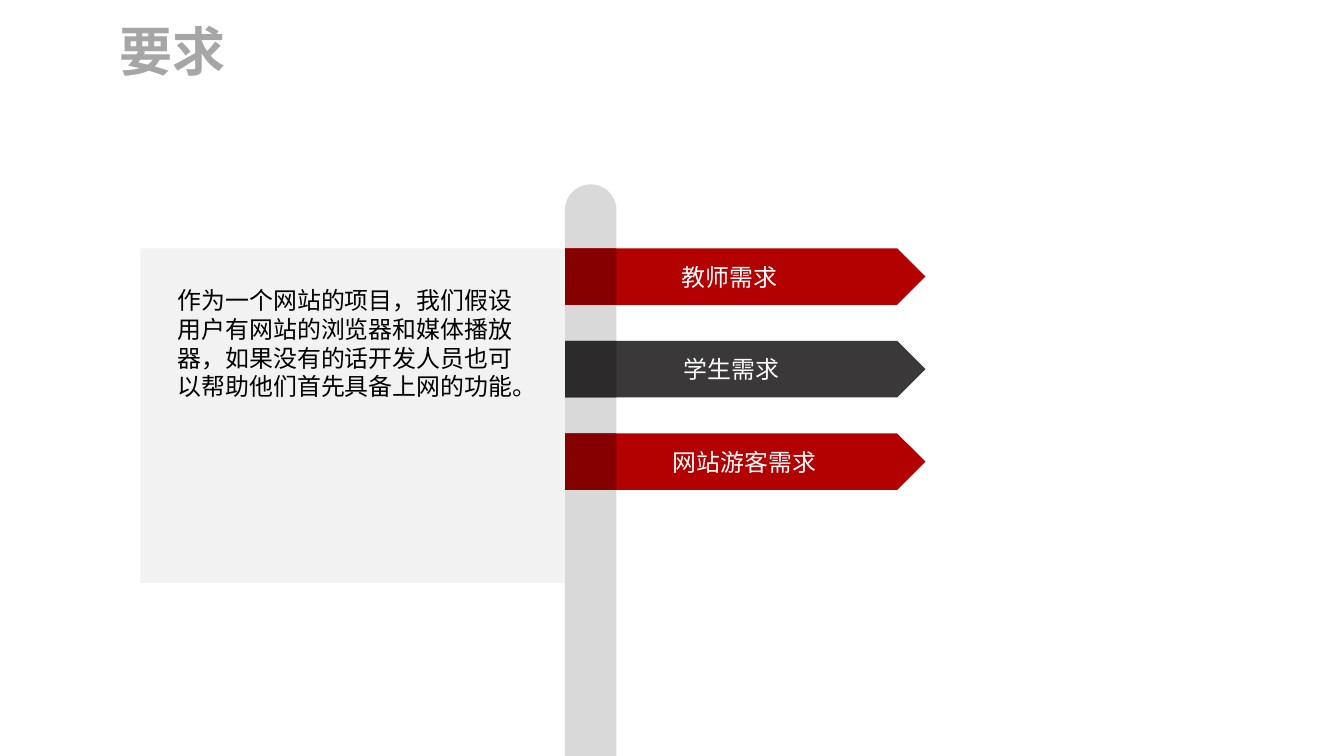
from pptx import Presentation
from pptx.dml.color import RGBColor
from pptx.enum.shapes import MSO_SHAPE
from pptx.enum.text import MSO_ANCHOR, PP_ALIGN
from pptx.util import Cm, Pt

COLORS = {
    "title": "A6A6A6", "text": "000000", "white": "FFFFFF",
    "pole": "D9D9D9", "panel": "F2F2F2",
    "red": "B30000", "dark_red": "860000",
    "gray": "3A3838", "dark_gray": "2C2A2A",
}
SIGNS = [
    ("教师需求", "red", 3.1),
    ("学生需求", "gray", 3.15),
    ("网站游客需求", "red", 2.87),
]
INTRO = ("作为一个网站的项目，我们假设用户有网站的浏览器和媒体播放器，"
         "如果没有的话开发人员也可以帮助他们首先具备上网的功能。")
SIGN_HEIGHT = 1.5
SIGN_PITCH = 2.46


def add_block(s, kind, x, y, w, h, color):
    sp = s.shapes.add_shape(kind, Cm(x), Cm(y), Cm(w), Cm(h))
    sp.shadow.inherit = False
    sp.fill.solid()
    sp.fill.fore_color.rgb = RGBColor.from_string(COLORS[color])
    sp.line.fill.background()
    return sp


def write(tf, text, size, font, color, bold=False):
    tf.word_wrap = True
    p = tf.paragraphs[0]
    p.text = text
    p.alignment = PP_ALIGN.LEFT
    p.font.size = Pt(size)
    p.font.name = font
    p.font.bold = bold
    p.font.color.rgb = RGBColor.from_string(COLORS[color])


def add_title(s, x, y, w, h):
    tf = s.shapes.add_textbox(Cm(x), Cm(y), Cm(w), Cm(h)).text_frame
    tf.margin_left = tf.margin_right = tf.margin_top = tf.margin_bottom = 0
    tf.vertical_anchor = MSO_ANCHOR.MIDDLE
    write(tf, "要求", 40, "Arial", "title", bold=True)


def add_pole(s, x, y, w, h):
    pole = add_block(s, MSO_SHAPE.ROUND_2_SAME_RECTANGLE, x, y, w, h, "pole")
    pole.adjustments[0] = 0.5


def add_signs(s, x, y, w, pole_width):
    for i, (label, color, indent) in enumerate(SIGNS):
        top = y + i * SIGN_PITCH
        sign = add_block(s, MSO_SHAPE.PENTAGON, x, top, w, SIGN_HEIGHT, color)
        tf = sign.text_frame
        tf.margin_left = Cm(indent)
        tf.vertical_anchor = MSO_ANCHOR.MIDDLE
        write(tf, label, 18, "Calibri", "white")
        add_block(s, MSO_SHAPE.RECTANGLE, x, top, pole_width, SIGN_HEIGHT,
                  "dark_" + color)


def add_panel(s, x, y, w, h):
    add_block(s, MSO_SHAPE.RECTANGLE, x, y, w, h, "panel")
    box = s.shapes.add_textbox(Cm(x + 0.74), Cm(y + 0.87), Cm(w - 1.28), Cm(4.11))
    write(box.text_frame, INTRO, 18, "Calibri", "text")


def main():
    prs = Presentation()
    prs.slide_width, prs.slide_height = Cm(35.71), Cm(20.09)
    s = prs.slides.add_slide(prs.slide_layouts[6])
    add_pole(s, 15.01, 4.9, 1.37, 15.19)
    add_signs(s, 15.01, 6.6, 9.58, 1.37)
    add_panel(s, 3.73, 6.6, 11.28, 8.89)
    add_title(s, 3.18, 0.48, 4.5, 1.7)
    prs.save("out.pptx")


if __name__ == "__main__":
    main()
